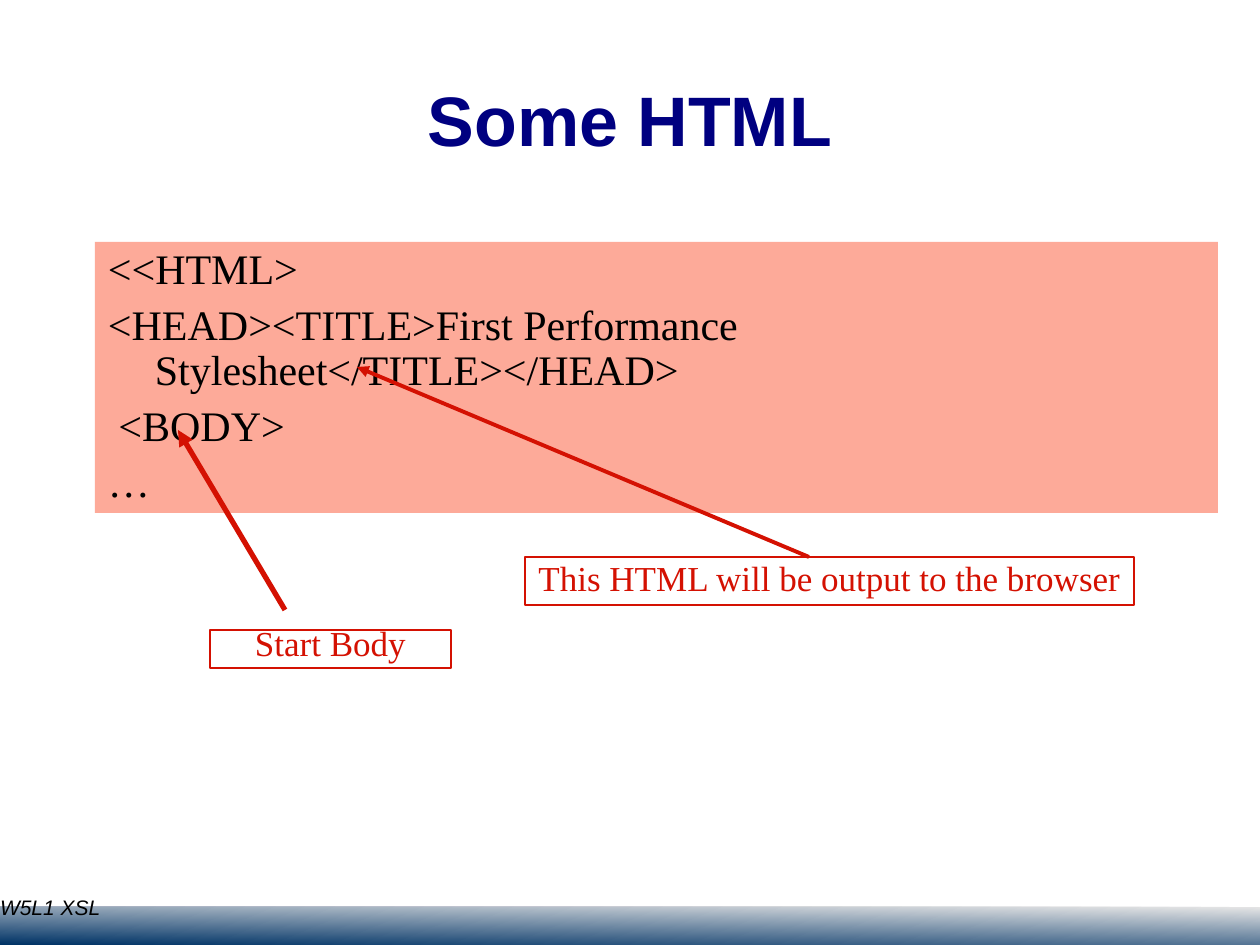
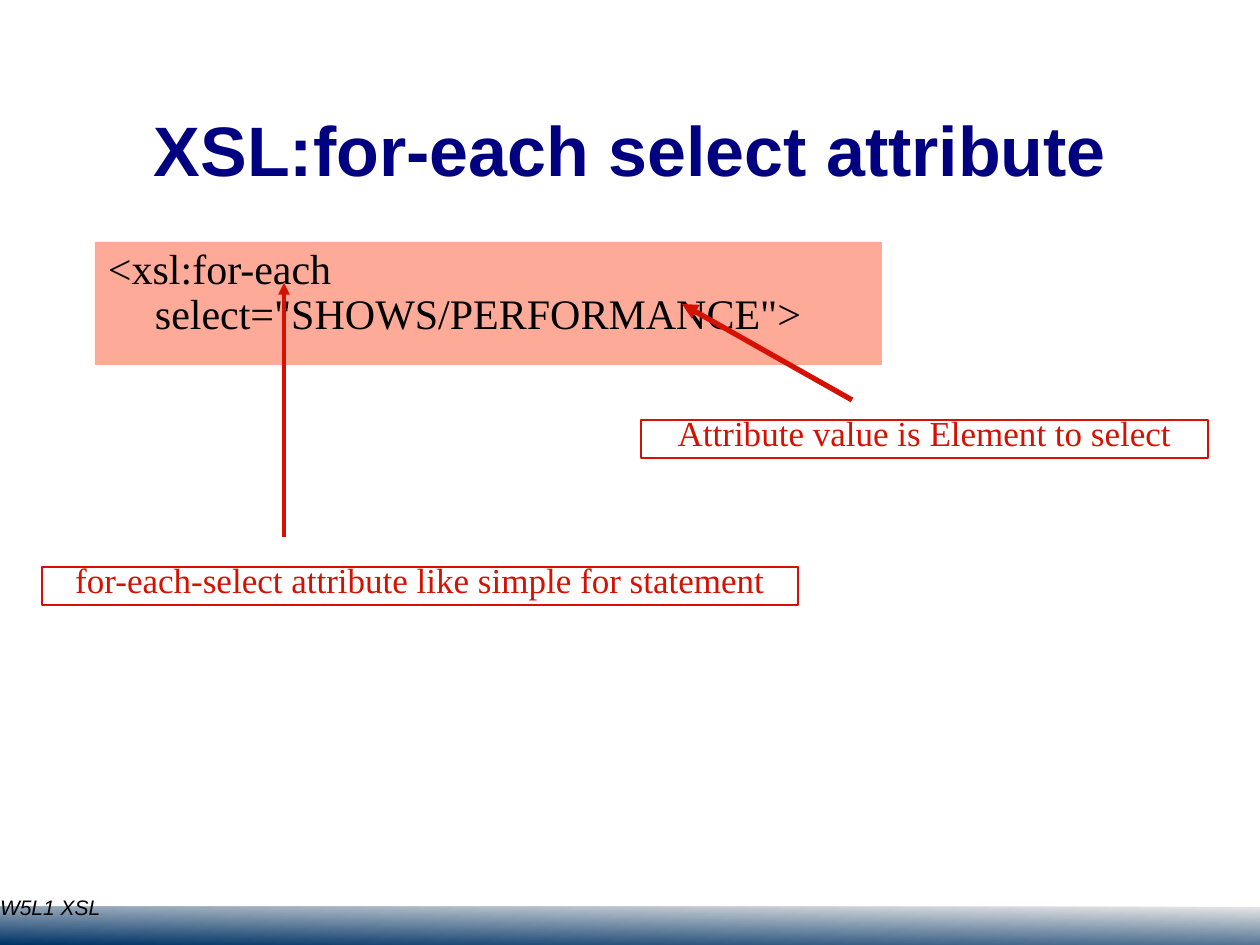
from lxml.etree import SubElement
from pptx import Presentation
from pptx.dml.color import RGBColor
from pptx.enum.shapes import MSO_CONNECTOR as Connector, MSO_SHAPE as Shape
from pptx.enum.text import MSO_ANCHOR as Anchor, MSO_AUTO_SIZE as AutoSize, PP_ALIGN as Align
from pptx.oxml.ns import qn
from pptx.util import Pt

NAVY = RGBColor(0x00, 0x00, 0x80)
RED = RGBColor(0xD4, 0x11, 0x02)
SALMON = RGBColor(0xFD, 0xAA, 0x99)
BLACK = RGBColor(0x00, 0x00, 0x00)
WHITE = RGBColor(0xFF, 0xFF, 0xFF)
BAND_TOP = RGBColor(0xE6, 0xE6, 0xE6)
BAND_BOTTOM = RGBColor(0x00, 0x33, 0x66)

SANS, SERIF = "Arial", "Times New Roman"
PAGE_WIDTH, PAGE_HEIGHT = 1260, 945
PX_PER_INCH = 126
INSETS = (13, 6, 13, 6)
TITLE_ONLY = 5


def px(length):
    return round(length * 914400 / PX_PER_INCH)


class Deck:
    def __init__(self):
        self.deck = Presentation()
        self.deck.slide_width = px(PAGE_WIDTH)
        self.deck.slide_height = px(PAGE_HEIGHT)
        self.page = None

    def add_page(self, title, top, height):
        self.page = self.deck.slides.add_slide(self.deck.slide_layouts[TITLE_ONLY])
        self.band()
        self.title(title, top, height)
        self.footer()

    def band(self):
        band = self.page.shapes.add_shape(
            Shape.ROUNDED_RECTANGLE, 0, px(907), px(PAGE_WIDTH), px(38))
        band.adjustments[0] = 0.01
        band.shadow.inherit = False
        band.line.fill.background()
        band.fill.gradient()
        band.fill.gradient_angle = 269
        for stop, color, position in zip(
                band.fill.gradient_stops, (BAND_TOP, BAND_BOTTOM), (0, 1)):
            stop.color.rgb = color
            stop.position = position

    def title(self, text, top, height):
        box = self.page.shapes.title
        box.left, box.top, box.width, box.height = map(px, (95, top, 1070, height))
        frame = self.frame(box, INSETS)
        frame.vertical_anchor = Anchor.MIDDLE
        para = self.para(frame.paragraphs[0], text, SANS, 40, NAVY, 0.54)
        para.alignment = Align.CENTER
        para.font.bold = True

    def footer(self):
        box = self.text_box(0, 897, 533, 60, (0, 0, 0, 0))
        para = self.para(box.text_frame.paragraphs[0], "W5L1 XSL", SANS, 12, BLACK, 0.93)
        para.font.italic = True

    def code(self, lines, width, height):
        box = self.text_box(95, 242, width, height, INSETS)
        box.fill.solid()
        box.fill.fore_color.rgb = SALMON
        frame = box.text_frame
        for index, line in enumerate(lines):
            para = frame.add_paragraph() if index else frame.paragraphs[0]
            self.para(para, line, SERIF, 24, BLACK, 0.9, 6)
            properties = para._p.get_or_add_pPr()
            properties.set("marL", str(px(47)))
            properties.set("indent", str(px(-47)))

    def caption(self, text, left, top, width, height=38, inset_top=6):
        box = self.text_box(left, top, width, height, (0, inset_top, 0, 6))
        box.fill.solid()
        box.fill.fore_color.rgb = WHITE
        box.line.color.rgb = RED
        box.line.width = Pt(0.75)
        para = self.para(box.text_frame.paragraphs[0], text, SERIF, 20, RED, 0.61, 5)
        para.alignment = Align.CENTER

    def arrow(self, start, end, weight):
        arrow = self.page.shapes.add_connector(
            Connector.STRAIGHT, *map(px, (*start, *end)))
        arrow.line.color.rgb = RED
        arrow.line.width = Pt(weight)
        SubElement(arrow.line._get_or_add_ln(), qn("a:tailEnd"), type="triangle")
        SubElement(arrow._element.spPr, qn("a:effectLst"))

    def text_box(self, left, top, width, height, insets):
        box = self.page.shapes.add_textbox(*map(px, (left, top, width, height)))
        self.frame(box, insets)
        return box

    def frame(self, box, insets):
        frame = box.text_frame
        frame.word_wrap = True
        frame.auto_size = AutoSize.NONE
        (frame.margin_left, frame.margin_top,
         frame.margin_right, frame.margin_bottom) = map(px, insets)
        return frame

    def para(self, para, text, font, size, color, spacing, before=0):
        para.text = text
        para.font.name = font
        para.font.size = Pt(size)
        para.font.color.rgb = color
        para.line_spacing = spacing
        para.space_before = Pt(before)
        return para


def main():
    show = Deck()

    show.add_page("Some HTML", 63, 139)
    show.code(["<<HTML>",
               "<HEAD><TITLE>First Performance Stylesheet</TITLE></HEAD>",
               " <BODY>",
               "…"], 1123, 271)
    show.caption("Start Body", 210, 630, 241)
    show.arrow((285, 610), (178, 430), 3)
    show.caption("This HTML will be output to the browser", 525, 557, 609, 48, 14)
    show.arrow((809, 557), (357, 367), 2.25)

    show.add_page("XSL:for-each select attribute", 84, 158)
    show.code(['<xsl:for-each select="SHOWS/PERFORMANCE">'], 787, 123)
    show.caption("Attribute value is Element to select", 641, 420, 567)
    show.arrow((852, 400), (682, 304), 3)
    show.caption("for-each-select attribute like simple for statement", 42, 567, 756)
    show.arrow((284, 537), (284, 283), 2.25)

    show.deck.save("out.pptx")


if __name__ == "__main__":
    main()
